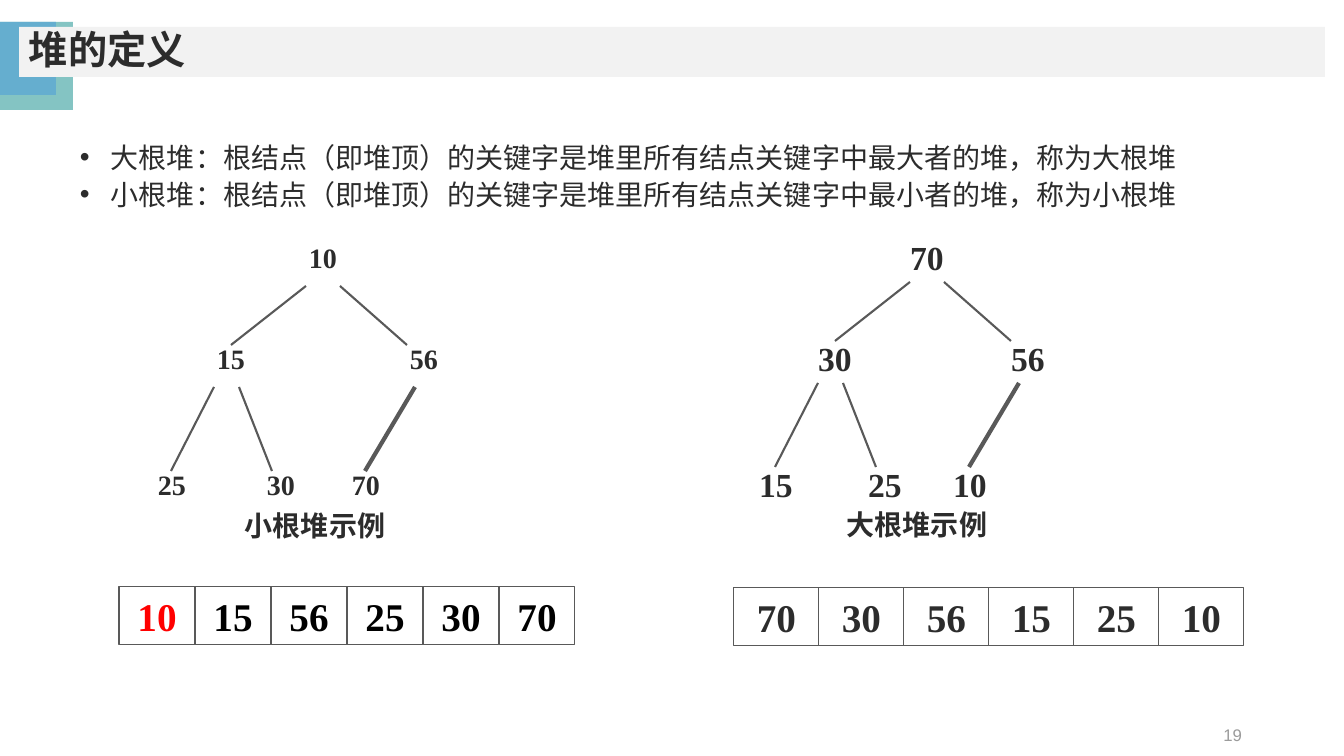
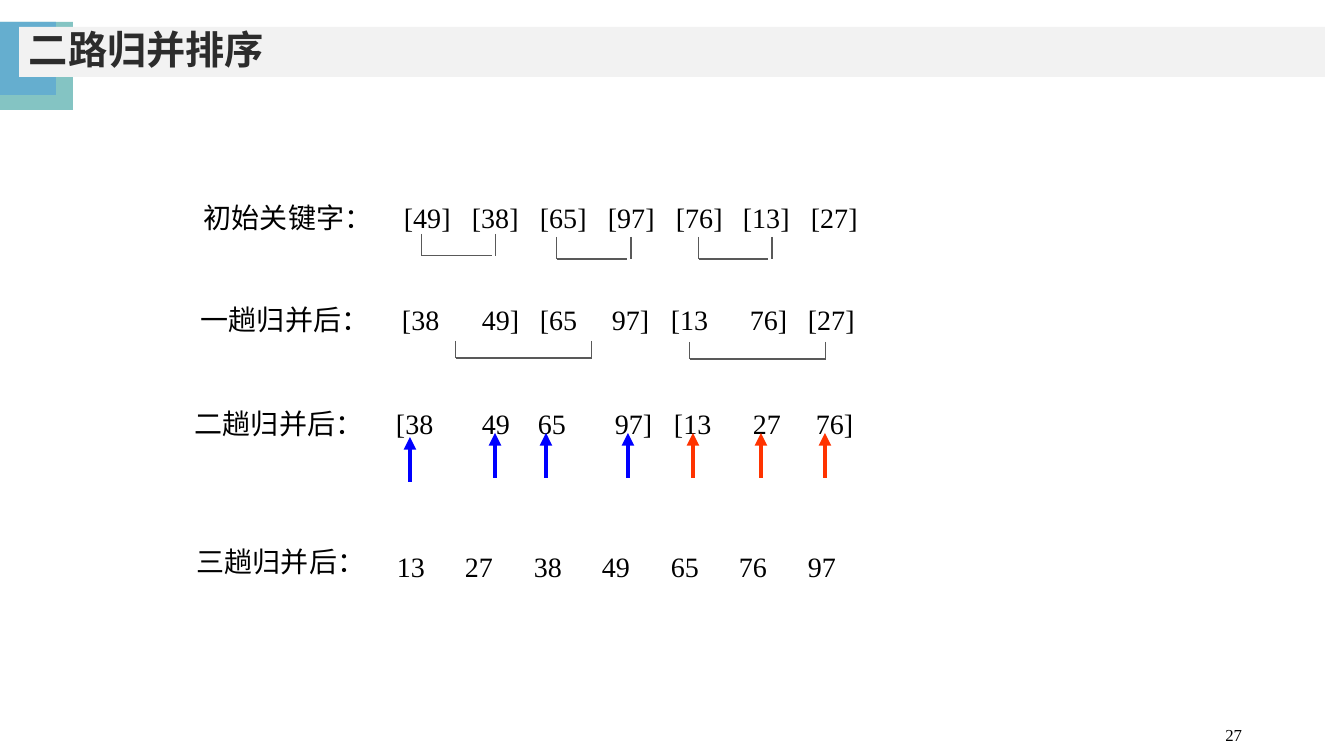
"""Build two lecture slides: the definition of a heap and two-way merge sort."""
from lxml import etree
from pptx import Presentation, util as u
from pptx.dml.color import RGBColor
from pptx.enum import shapes, text
from pptx.oxml import ns

PX = 914400 / 100.8
INK = RGBColor(0x2C, 0x2C, 0x2C)
BLACK = RGBColor(0, 0, 0)
GREY = RGBColor(0x59, 0x59, 0x59)
PALE = RGBColor(0x9B, 0x9B, 0x9B)
BAND = RGBColor(0xF2, 0xF2, 0xF2)
TEAL = RGBColor(0x84, 0xC4, 0xC3)
SKY = RGBColor(0x65, 0xAE, 0xCF)
RED = RGBColor(0xFF, 0, 0)
BLUE = RGBColor(0, 0, 0xFF)
ORANGE = RGBColor(0xFF, 0x33, 0)
SANS, SERIF = "Arial", "Times New Roman"
LEFT, CENTER, RIGHT = text.PP_ALIGN.LEFT, text.PP_ALIGN.CENTER, text.PP_ALIGN.RIGHT
TOP, MIDDLE = text.MSO_ANCHOR.TOP, text.MSO_ANCHOR.MIDDLE


def write(slide, words, box, *, size=20, color=BLACK, font=SERIF, bold=False,
          align=LEFT, anchor=TOP, spacing=None, bullet=None, tabs=(),
          fill=None, outline=None):
    """Place text in a box, one paragraph per line of words."""
    place = [round(v * PX) for v in box]
    if fill is not None or outline is not None:
        holder = slide.shapes.add_shape(shapes.MSO_SHAPE.RECTANGLE, *place)
        holder.shadow.inherit = False
        if fill is None:
            holder.fill.background()
        else:
            holder.fill.solid()
            holder.fill.fore_color.rgb = fill
        if outline is None:
            holder.line.fill.background()
        else:
            holder.line.color.rgb = outline
            holder.line.width = u.Pt(0.75)
    else:
        holder = slide.shapes.add_textbox(*place)
    frame = holder.text_frame
    frame.word_wrap = True
    frame.vertical_anchor = anchor
    for i, line in enumerate(words.split("\n") if words else []):
        paragraph = frame.add_paragraph() if i else frame.paragraphs[0]
        paragraph.alignment = align
        props = paragraph._p.get_or_add_pPr()
        if bullet:
            props.set("marL", str(round(31 * PX)))
            props.set("indent", str(round(-31 * PX)))
            etree.SubElement(props, ns.qn("a:buFont")).set("typeface", SANS)
            etree.SubElement(props, ns.qn("a:buChar")).set("char", bullet)
        if tabs:
            stops = etree.SubElement(props, ns.qn("a:tabLst"))
            for stop in tabs:
                etree.SubElement(stops, ns.qn("a:tab"), pos=str(round(stop * PX)), algn="l")
        if spacing:
            paragraph.line_spacing = spacing
        run = paragraph.add_run()
        run.text = line
        run.font.size = u.Pt(size)
        run.font.name = font
        run.font.bold = bold
        run.font.color.rgb = color


def draw_line(slide, ends, *, color=GREY, width=0.75, arrow=False):
    """Draw a straight line, with an arrowhead at its end if asked."""
    link = slide.shapes.add_connector(
        shapes.MSO_CONNECTOR.STRAIGHT, *[round(v * PX) for v in ends])
    link.line.color.rgb = color
    link.line.width = u.Pt(width)
    if arrow:
        etree.SubElement(link.line._get_or_add_ln(), ns.qn("a:tailEnd"), type="triangle")
    etree.SubElement(link._element.spPr, ns.qn("a:effectLst"))


deck = Presentation()
deck.slide_width, deck.slide_height = round(1344 * PX), round(756 * PX)
pages = []
for title, number, number_font, number_color in [
        ("堆的定义", "19", SANS, PALE),
        ("二路归并排序", "27", SERIF, BLACK)]:
    page = deck.slides.add_slide(deck.slide_layouts[6])
    write(page, "", (0, 22, 73, 88), fill=TEAL)
    write(page, "", (0, 22, 56, 73), fill=SKY)
    write(page, title, (19, 27, 1306, 50), size=28, color=INK, font=SANS, bold=True,
          anchor=MIDDLE, spacing=0.9, fill=BAND)
    write(page, number, (950, 715, 302, 40), size=12, color=number_color,
          font=number_font, align=RIGHT, anchor=MIDDLE)
    pages.append(page)
heap_page, merge_page = pages

write(heap_page,
      "大根堆：根结点（即堆顶）的关键字是堆里所有结点关键字中最大者的堆，称为大根堆\n"
      "小根堆：根结点（即堆顶）的关键字是堆里所有结点关键字中最小者的堆，称为小根堆",
      (70, 132, 1182, 82), color=INK, spacing=1.1, bullet="•")

node_offsets = [(151, 0), (59, 101), (252, 101), (0, 227), (109, 227), (194, 227)]
edges = [(168, 50, 93, 109, 1.5), (202, 50, 269, 109, 1.5), (76, 151, 33, 235, 1.5),
         (101, 151, 134, 235, 1.5), (277, 151, 227, 235, 3)]
heaps = [
    ("小根堆示例", [10, 15, 56, 25, 30, 70], (138, 236), 20, (235, 504),
     (119, 587, 76), RED, BLACK),
    ("大根堆示例", [70, 30, 56, 15, 25, 10], (742, 232), 24, (837, 503),
     (734, 588, 85), INK, INK),
]
for caption, keys, (x, y), key_size, caption_at, array, first_color, rest_color in heaps:
    array_left, array_top, cell_width = array
    for i, (key, (dx, dy)) in enumerate(zip(keys, node_offsets)):
        write(heap_page, str(key), (x + dx, y + dy, 68, 48), size=key_size, color=INK,
              bold=True, align=CENTER)
        write(heap_page, str(key), (array_left + i * cell_width, array_top, cell_width, 58),
              size=28, color=rest_color if i else first_color, bold=True, align=CENTER,
              outline=GREY)
    for x1, y1, x2, y2, weight in edges:
        draw_line(heap_page, (x + x1, y + y1, x + x2, y + y2), width=weight)
    write(heap_page, caption, (*caption_at, 260, 44), color=INK, bold=True)

INSET = 10
passes = [
    ("初始关键字：", 194, 196, ["[49]", "[38]", "[65]", "[97]", "[76]", "[13]", "[27]"],
     [404, 472, 540, 608, 676, 743, 811]),
    ("一趟归并后：", 191, 298, ["[38", "49]", "[65", "97]", "[13", "76]", "[27]"],
     [402, 482, 540, 612, 671, 750, 808]),
    ("二趟归并后：", 185, 402, ["[38", "49", "65", "97]", "[13", "27", "76]"],
     [396, 482, 538, 615, 674, 753, 816]),
]
for label, left, top, keys, starts in passes:
    write(merge_page, "\t".join([label, *keys]), (left, top, 700, 44),
          tabs=[start - left - INSET for start in starts])

write(merge_page, "三趟归并后：", (187, 540, 200, 44))
for i, key in enumerate([13, 27, 38, 49, 65, 76, 97]):
    write(merge_page, str(key), (387 + i * 137 // 2, 545, 50, 44))

for left, right, top, bottom, gap in [
        (422, 496, 234, 256, 4), (557, 631, 237, 259, 4), (699, 772, 237, 259, 4),
        (456, 592, 341, 358, 0), (690, 826, 342, 359, 0)]:
    draw_line(merge_page, (left, top, left, bottom))
    draw_line(merge_page, (left, bottom, right - gap, bottom))
    draw_line(merge_page, (right, top, right, bottom))

for x, tip, color in [
        (410, 437, BLUE), (495, 433, BLUE), (546, 433, BLUE), (628, 433, BLUE),
        (693, 433, ORANGE), (761, 433, ORANGE), (825, 433, ORANGE)]:
    draw_line(merge_page, (x, tip + 45, x, tip), color=color, width=3, arrow=True)

deck.save("out.pptx")
